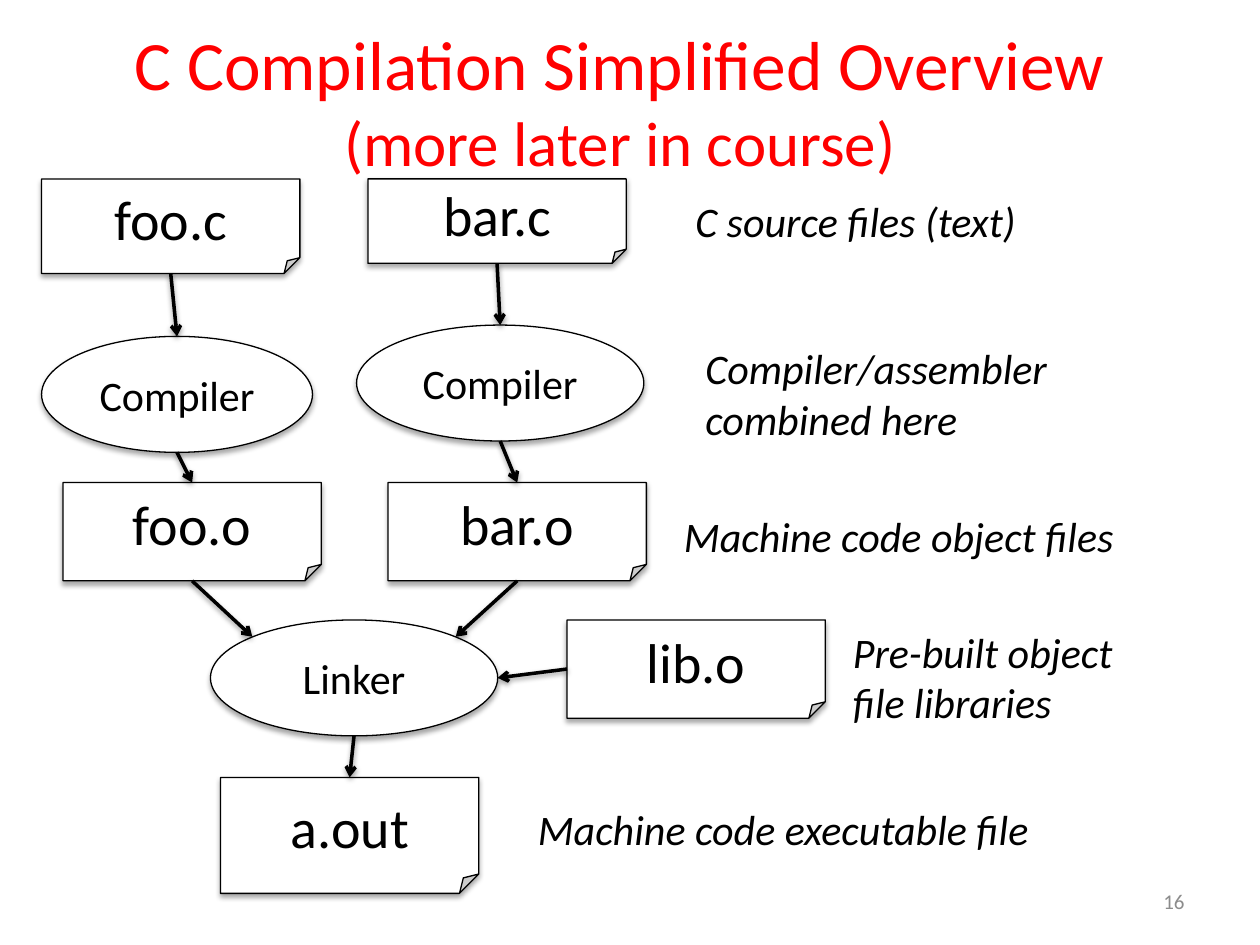
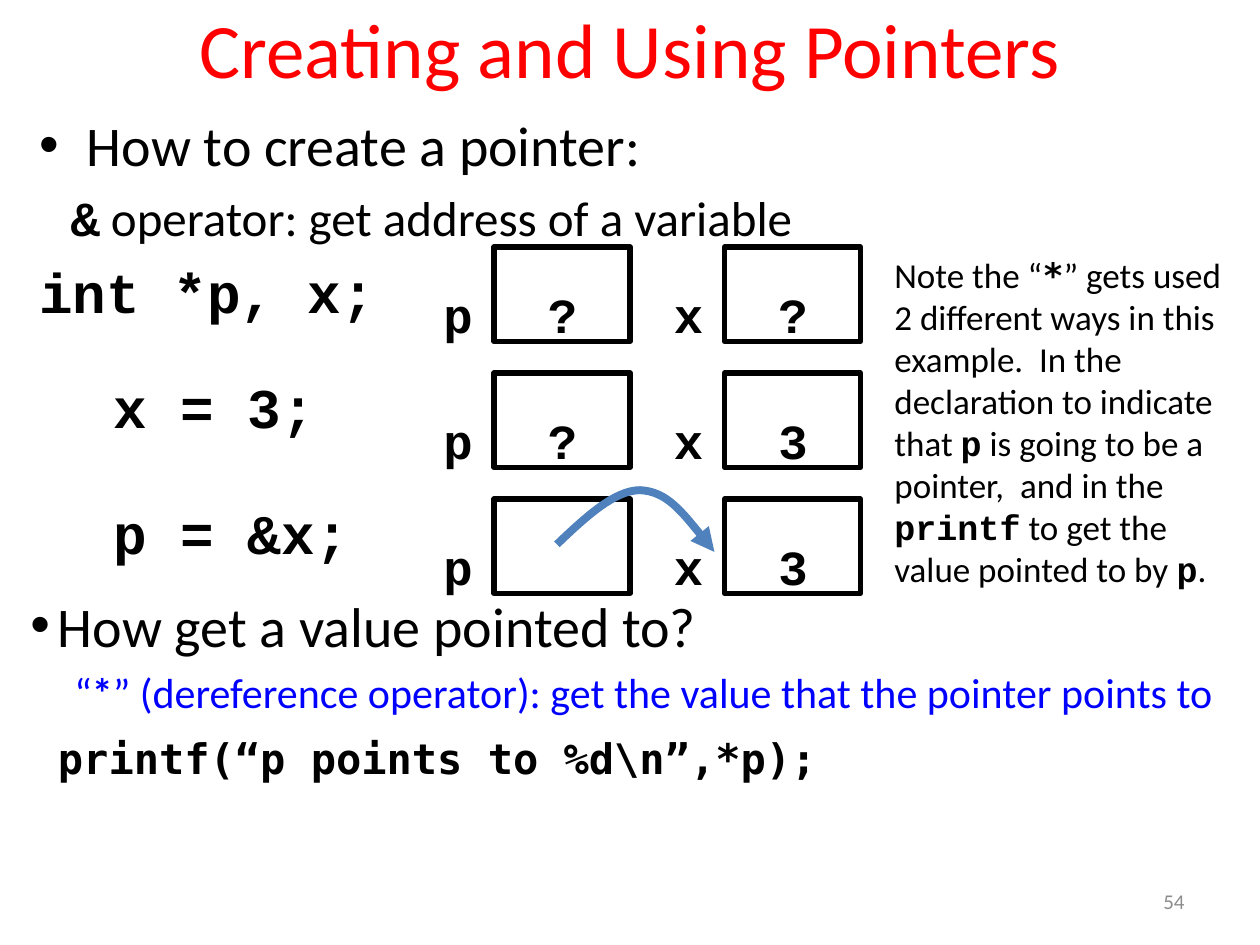
from lxml.etree import SubElement
from pptx import Presentation
from pptx.dml.color import RGBColor
from pptx.enum.shapes import MSO_CONNECTOR, MSO_SHAPE
from pptx.enum.text import MSO_ANCHOR, MSO_AUTO_SIZE, PP_ALIGN
from pptx.oxml.ns import qn
from pptx.util import Inches, Pt

RED = RGBColor(0xFF, 0x00, 0x00)
BLACK = RGBColor(0x00, 0x00, 0x00)
WHITE = RGBColor(0xFF, 0xFF, 0xFF)
GRAY = RGBColor(0x8C, 0x8C, 0x8C)
BLUE = RGBColor(0x00, 0x00, 0xFF)
STEEL = RGBColor(0x4F, 0x81, 0xBD)
SANS, COURIER, MONO = "Calibri", "Courier New", "DejaVu Sans Mono"
TITLE_ONLY, TITLE_AND_BODY = 5, 1
SIDES = ["top", "left", "bottom", "right"]
SITES = {
    "top": (0.5, 0), "left": (0, 0.5), "bottom": (0.5, 1), "right": (1, 0.5),
    "upper left": (0.146, 0.146), "upper right": (0.854, 0.146),
}


def inches(values):
    return [Inches(value) for value in values]


def site_point(shape, site):
    across, down = SITES[site]
    return (int(shape.left + across * shape.width),
            int(shape.top + down * shape.height))


class Deck:
    def __init__(self):
        self.presentation = Presentation()
        self.presentation.slide_width = Inches(10)
        self.presentation.slide_height = Inches(7.5)

    def new_slide(self, layout, number):
        layouts = self.presentation.slide_layouts
        self.slide = self.presentation.slides.add_slide(layouts[layout])
        self.shapes = self.slide.shapes
        frame = self.text([7.17, 6.95, 2.33, 0.4], fit=False)
        frame.vertical_anchor = MSO_ANCHOR.MIDDLE
        self.paragraph(frame, str(number), 12, color=GRAY, align=PP_ALIGN.RIGHT)

    def start_group(self):
        self.shapes = self.slide.shapes.add_group_shape().shapes

    def end_group(self):
        self.shapes = self.slide.shapes

    def placeholder(self, index, at):
        holder = self.slide.placeholders[index]
        holder.left, holder.top, holder.width, holder.height = inches(at)
        holder.text_frame.auto_size = MSO_AUTO_SIZE.NONE
        return holder.text_frame

    def title(self, at, lines):
        frame = self.placeholder(0, at)
        frame.vertical_anchor = MSO_ANCHOR.MIDDLE
        paragraph = frame.paragraphs[0]
        paragraph.alignment = PP_ALIGN.CENTER
        paragraph.font.name = SANS
        paragraph.font.color.rgb = RED
        for position, (line, size) in enumerate(lines):
            if position:
                paragraph.add_line_break()
            run = paragraph.add_run()
            run.text = line
            run.font.size = Pt(size)

    def paragraph(self, frame, parts, size, font=SANS, color=BLACK, bold=False,
                  italic=False, align=PP_ALIGN.LEFT, level=0, indent=None,
                  before=None, spacing=None, bullet=False):
        paragraph = frame.paragraphs[0]
        if paragraph.runs:
            paragraph = frame.add_paragraph()
        paragraph.alignment = align
        paragraph.level = level
        if spacing:
            paragraph.line_spacing = spacing
        properties = paragraph._p.get_or_add_pPr()
        if before:
            paragraph.space_before = Pt(0)
            gap = properties.find(qn("a:spcBef"))
            gap.remove(gap[0])
            SubElement(gap, qn("a:spcPct"), val=str(before * 1000))
        if indent:
            margin, first = inches(indent)
            properties.set("marL", str(margin))
            properties.set("indent", str(first))
        if bullet:
            SubElement(properties, qn("a:buFont"), typeface="Arial")
            SubElement(properties, qn("a:buChar"), char="•")
        else:
            SubElement(properties, qn("a:buNone"))
        paragraph.font.size = Pt(size)
        paragraph.font.color.rgb = color
        paragraph.font.italic = italic
        if isinstance(parts, str):
            paragraph.font.name = font
            paragraph.font.bold = bold
            paragraph.add_run().text = parts
            return
        for words, code_font in parts:
            run = paragraph.add_run()
            run.text = words
            run.font.name = code_font or font
            run.font.bold = code_font is not None

    def text(self, at, wrap=True, fit=True, tight=False):
        frame = self.shapes.add_textbox(*inches(at)).text_frame
        frame.word_wrap = wrap
        if fit:
            frame.auto_size = MSO_AUTO_SIZE.SHAPE_TO_FIT_TEXT
        if tight:
            frame.margin_left = frame.margin_right = Inches(0.07)
            frame.margin_top = frame.margin_bottom = Inches(0.03)
        return frame

    def label(self, at, words, **style):
        self.paragraph(self.text(at, wrap=False), words, **style)

    def box(self, kind, at, line_width):
        shape = self.shapes.add_shape(kind, *inches(at))
        shape.shadow.inherit = False
        shape.fill.background()
        shape.line.color.rgb = BLACK
        shape.line.width = Pt(line_width)
        return shape

    def cast_shadow(self, effects, blur, distance, opacity):
        shadow = SubElement(effects, qn("a:outerShdw"), blurRad=str(Pt(blur)),
                            dist=str(Pt(distance)), dir="5400000", rotWithShape="0")
        color = SubElement(shadow, qn("a:srgbClr"), val=str(BLACK))
        SubElement(color, qn("a:alpha"), val=str(opacity * 1000))

    def node(self, kind, at, words, size):
        shape = self.box(kind, at, 0.75)
        shape.fill.solid()
        shape.fill.fore_color.rgb = WHITE
        effects = shape._element.spPr.find(qn("a:effectLst"))
        self.cast_shadow(effects, 3.1, 1.8, 35)
        shape.text_frame.vertical_anchor = MSO_ANCHOR.MIDDLE
        self.paragraph(shape.text_frame, words, size, align=PP_ALIGN.CENTER)
        return shape

    def document(self, words, left, top, height=0.78):
        return self.node(MSO_SHAPE.FOLDED_CORNER, [left, top, 2.05, height], words, 32)

    def tool(self, words, left, top, width=2.28):
        return self.node(MSO_SHAPE.OVAL, [left, top, width, 0.92], words, 24)

    def stroke(self, shape, color, width, head):
        shape.line.color.rgb = color
        shape.line.width = Pt(width)
        SubElement(shape._element.spPr.find(qn("a:ln")), qn("a:tailEnd"), type=head)

    def arrow(self, source, source_site, target, target_site):
        connector = self.shapes.add_connector(
            MSO_CONNECTOR.STRAIGHT, *site_point(source, source_site),
            *site_point(target, target_site))
        if source.auto_shape_type == MSO_SHAPE.FOLDED_CORNER:
            connector.begin_connect(source, SIDES.index(source_site))
        if target.auto_shape_type == MSO_SHAPE.FOLDED_CORNER:
            connector.end_connect(target, SIDES.index(target_site))
        self.stroke(connector, BLACK, 2, "arrow")
        effects = SubElement(connector._element.spPr, qn("a:effectLst"))
        self.cast_shadow(effects, 3.1, 1.6, 38)

    def curved_arrow(self, start, curves):
        builder = self.shapes.build_freeform(*inches(start))
        builder.add_line_segments([inches(curve[-1]) for curve in curves], close=False)
        shape = builder.convert_to_shape()
        shape.shadow.inherit = False
        shape.fill.background()
        segments = list(shape._element.iter(qn("a:lnTo")))
        for segment, curve in zip(segments, curves):
            segment.tag = qn("a:cubicBezTo")
            segment.remove(segment[0])
            for x, y in curve:
                SubElement(segment, qn("a:pt"), x=str(Inches(x) - shape.left),
                           y=str(Inches(y) - shape.top))
        self.stroke(shape, STEEL, 4.5, "triangle")


def compilation_slide(deck):
    deck.new_slide(TITLE_ONLY, 16)
    deck.title([0.42, 0.17, 9, 1.25], [
        ("C Compilation Simplified Overview", 39.6), ("(more later in course)", 36)])
    foo_source = deck.document("foo.c", 0.33, 1.42, 0.75)
    bar_source = deck.document("bar.c", 2.92, 1.42, 0.67)
    foo_compiler = deck.tool("Compiler", 0.33, 2.67, 2.15)
    bar_compiler = deck.tool("Compiler", 2.83, 2.58)
    foo_object = deck.document("foo.o", 0.5, 3.83)
    bar_object = deck.document("bar.o", 3.08, 3.83)
    linker = deck.tool("Linker", 1.67, 4.92)
    library = deck.document("lib.o", 4.5, 4.92)
    executable = deck.document("a.out", 1.75, 6.17, 0.92)

    for source, compiler, compiled, linker_site in (
            (foo_source, foo_compiler, foo_object, "upper left"),
            (bar_source, bar_compiler, bar_object, "upper right")):
        deck.arrow(source, "bottom", compiler, "top")
        deck.arrow(compiler, "bottom", compiled, "top")
        deck.arrow(compiled, "bottom", linker, linker_site)
    deck.arrow(library, "left", linker, "right")
    deck.arrow(linker, "bottom", executable, "top")

    for at, caption in (
            ([5.42, 1.5, 2.86, 0.5], "C source files (text)"),
            ([5.33, 4, 3.73, 0.5], "Machine code object files"),
            ([4.17, 6.33, 4.24, 0.5], "Machine code executable file")):
        deck.label(at, caption, size=24, italic=True)
    for at, caption in (
            ([6.67, 4.92, 2.48, 0.91], "Pre-built object file libraries"),
            ([5.5, 2.67, 4, 0.91], "Compiler/assembler combined here")):
        deck.paragraph(deck.text(at), caption, 24, italic=True)


def pointers_slide(deck):
    deck.new_slide(TITLE_AND_BODY, 54)
    deck.title([0.5, -0.25, 9, 1.25], [("Creating and Using Pointers", 44)])

    creating = deck.placeholder(1, [0.21, 0.83, 9.5, 1.79])
    deck.paragraph(creating, "How to create a pointer:", 32, indent=(0.38, -0.38),
                   before=20, bullet=True)
    deck.paragraph(creating, [
        ("&", COURIER), (" operator: get address of a variable", None)],
        28, level=1, indent=(0.56, -0.31), before=20)
    deck.paragraph(creating, "int *p, x;", 32, font=COURIER, bold=True,
                   indent=(0.38, -0.38), before=20)

    memory_states = [(None, "?", "?"), ("x = 3;", "?", "3"), ("p = &x;", None, "3")]
    for row, (statement, p_value, x_value) in enumerate(memory_states):
        top = 1.96 + row
        deck.start_group()
        if statement:
            deck.paragraph(deck.text([0.83, top + 0.09, 2.08, 0.48], tight=True),
                           statement, 32, font=COURIER, bold=True,
                           indent=(0.22, -0.22), before=65, spacing=0.75)
        for left, variable, value in ((3.42, "p", p_value), (5.25, "x", x_value)):
            deck.box(MSO_SHAPE.RECTANGLE, [left + 0.5, top, 1.08, 0.75], 3)
            for offset, words in ((0, variable), (0.83, value)):
                if words:
                    deck.label([left + offset, top + 0.25, 0.43, 0.57], words,
                               size=28, font=COURIER, bold=True)
    deck.curved_arrow((4.42, 4.32), [
        [(4.65, 4.1), (4.88, 3.89), (5.08, 3.89)],
        [(5.29, 3.9), (5.48, 4.14), (5.67, 4.38)]])
    deck.end_group()

    reading = deck.text([0.17, 4.79, 9.75, 1.55], tight=True)
    deck.paragraph(reading, "How get a value pointed to?", 32, indent=(0.22, -0.22),
                   before=65, spacing=0.75, bullet=True)
    deck.paragraph(reading, [
        ("“", None), ("*", SANS),
        ("” (dereference operator): get the value that the pointer points to", None)],
        24, color=BLUE, level=1, indent=(0.56, -0.21), before=40, spacing=0.85)
    deck.paragraph(reading, "printf(“p points to %d\\n”,*p);", 24, font=MONO, bold=True,
                   indent=(0.22, 0), before=65, spacing=0.75)

    deck.paragraph(deck.text([7, 1.96, 2.92, 2.77]), [
        ("Note the “", None), ("*", MONO),
        ("” gets used 2 different ways in this example.  In the declaration"
         " to indicate that ", None),
        ("p", COURIER), (" is going to be a pointer,  and in the ", None),
        ("printf", COURIER), (" to get the value pointed to by ", None),
        ("p", COURIER), (".", None)], 20)


def main():
    deck = Deck()
    compilation_slide(deck)
    pointers_slide(deck)
    deck.presentation.save("out.pptx")


if __name__ == "__main__":
    main()
